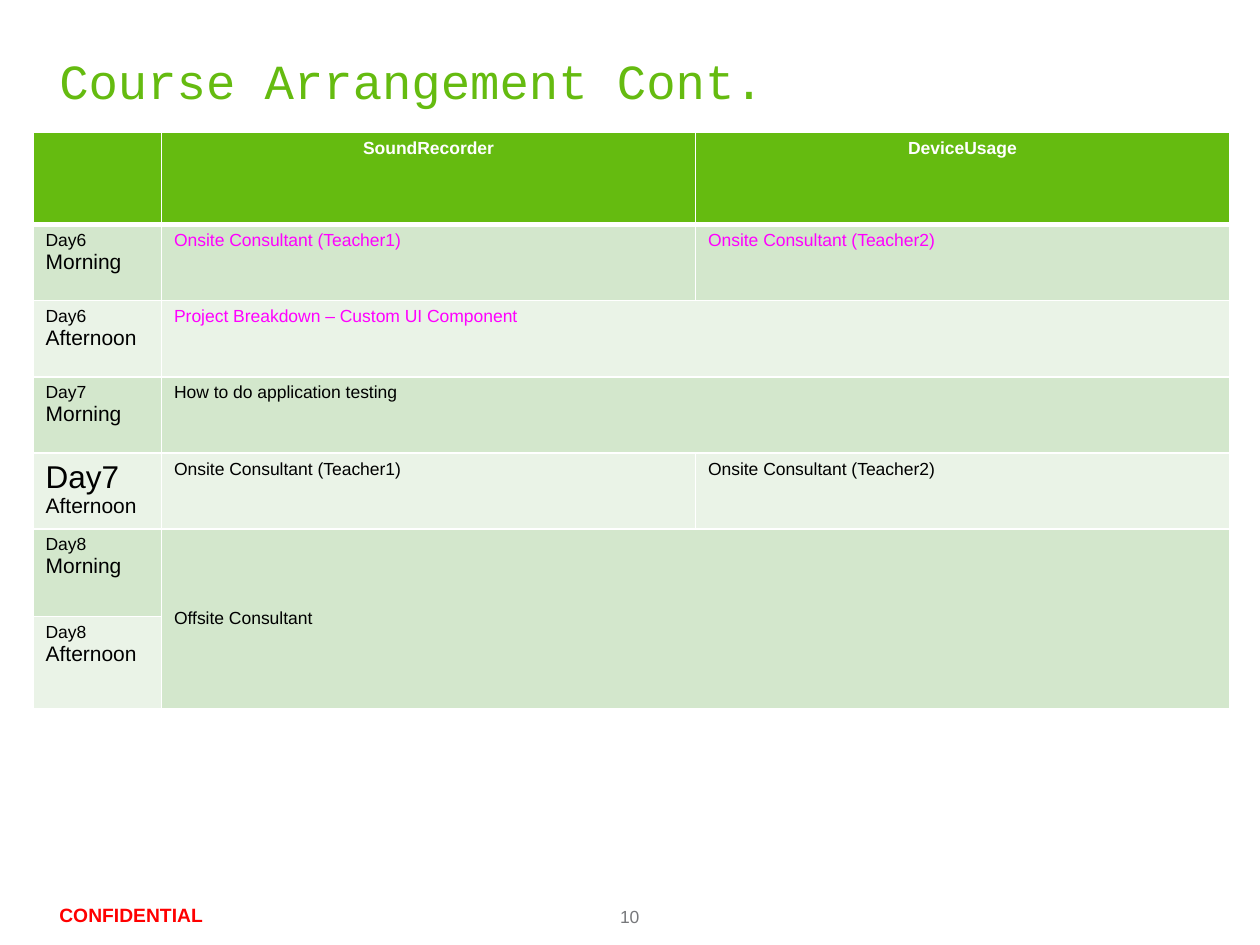
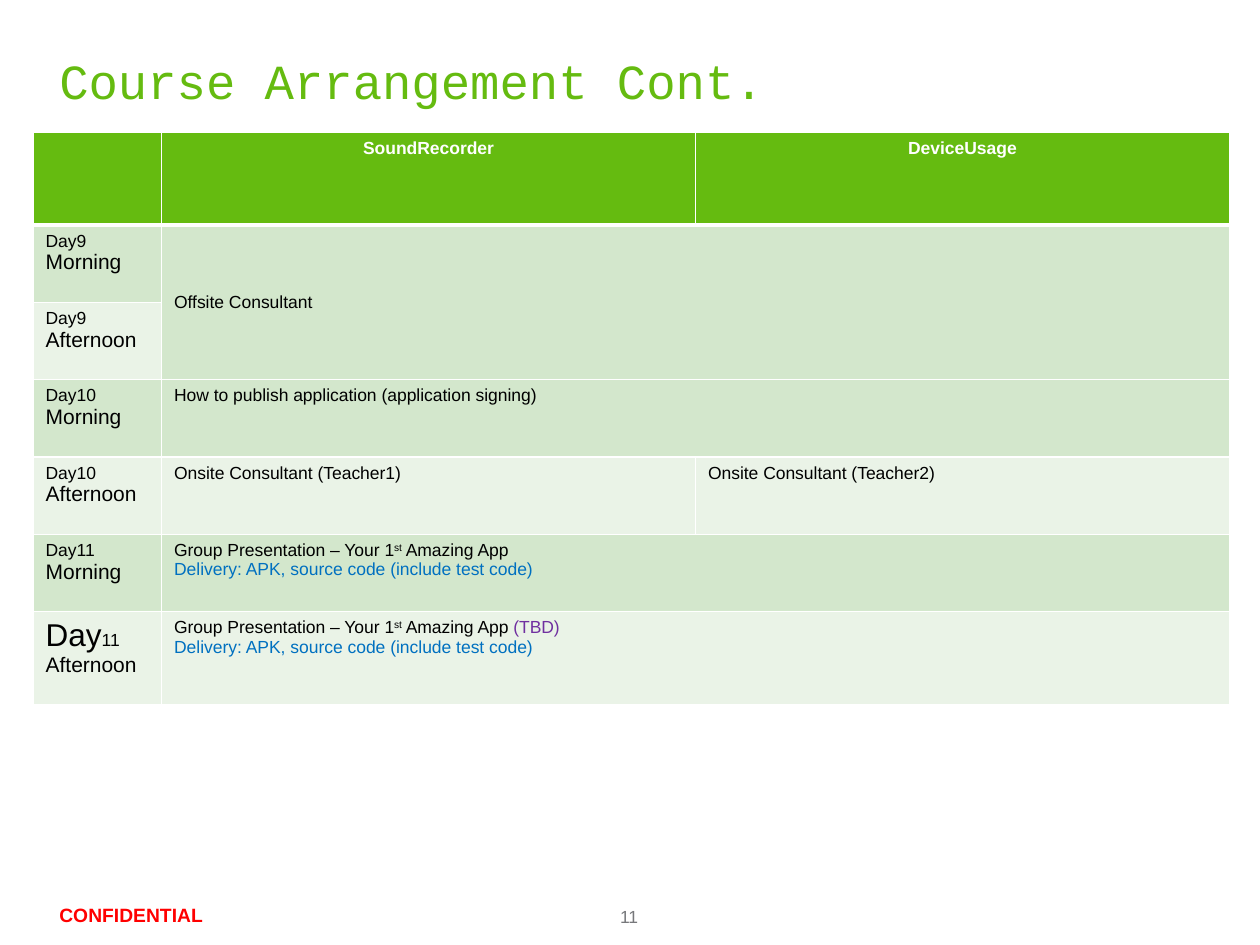
"""Build two course timetable slides with a shared title, footer and table style."""
from dataclasses import dataclass

from lxml import etree as et
from pptx import Presentation
from pptx.dml.color import RGBColor
from pptx.enum import text as tx
from pptx.oxml import ns
from pptx.util import Pt

HUES = {
    "green": "65BB10", "dark": "D3E7CC", "light": "EAF3E7",
    "white": "FFFFFF", "black": "000000", "grey": "77787B", "red": "FF0000",
    "pink": "FF00FF", "blue": "0070C0", "violet": "7030A0",
}
COLS = (73.4, 305.1, 305.1)


@dataclass(frozen=True)
class Bit:
    text: str
    hue: str = "black"
    size: float = 10
    bold: bool = False
    font: str = "Arial"
    sup: bool = False


@dataclass(frozen=True)
class Label:
    left: float
    top: float
    width: float
    height: float
    bit: Bit
    pitch: float | None = None
    anchor: tx.MSO_ANCHOR = tx.MSO_ANCHOR.TOP


Lines = list[list[Bit]]


@dataclass(frozen=True)
class Slot:
    lines: Lines
    rows: int = 1
    cols: int = 1


@dataclass(frozen=True)
class Row:
    height: float
    day: list[Bit]
    half: str
    slots: list[Slot]


@dataclass(frozen=True)
class Page:
    number: int
    head: float
    rows: list[Row]


def ink(hue: str) -> RGBColor:
    """Return the named colour."""
    return RGBColor.from_string(HUES[hue])


def write(para, bits: list[Bit]) -> None:
    """Add bits to a paragraph, one run each."""
    for bit in bits:
        run = para.add_run()
        run.text = bit.text
        font = run.font
        font.name, font.size, font.bold = bit.font, Pt(bit.size), bit.bold
        font.color.rgb = ink(bit.hue)
        if bit.sup:
            run._r.get_or_add_rPr().set("baseline", "30000")


def label(slide, spec: Label) -> None:
    """Draw a text box without margins."""
    box = slide.shapes.add_textbox(
        Pt(spec.left), Pt(spec.top), Pt(spec.width), Pt(spec.height))
    frame = box.text_frame
    frame.word_wrap = True
    frame.vertical_anchor = spec.anchor
    frame.margin_left = frame.margin_right = Pt(0)
    frame.margin_top = frame.margin_bottom = Pt(0)
    para = frame.paragraphs[0]
    if spec.pitch:
        para.line_spacing = Pt(spec.pitch)
    write(para, [spec.bit])


def style(cell, hue: str, top: float, base: float) -> None:
    """Give a cell its white borders and its fill."""
    props = cell._tc.get_or_add_tcPr()
    for side, width in (("L", 1), ("R", 1), ("T", top), ("B", base)):
        line = et.SubElement(props, ns.qn(f"a:ln{side}"), w=str(int(Pt(width))))
        fill = et.SubElement(line, ns.qn("a:solidFill"))
        et.SubElement(fill, ns.qn("a:srgbClr"), val=HUES["white"])
    cell.fill.solid()
    cell.fill.fore_color.rgb = ink(hue)


def put(cell, lines: Lines, align: tx.PP_ALIGN = tx.PP_ALIGN.LEFT) -> None:
    """Write paragraphs into a cell."""
    frame = cell.text_frame
    for i, bits in enumerate(lines):
        para = frame.add_paragraph() if i else frame.paragraphs[0]
        para.alignment = align
        write(para, bits)


def plan(slide, page: Page) -> None:
    """Draw the timetable."""
    sizes = [page.head] + [row.height for row in page.rows]
    grid = slide.shapes.add_table(
        len(sizes), len(COLS), Pt(18.9), Pt(75.6), Pt(sum(COLS)), Pt(sum(sizes))).table
    grid.first_row = grid.horz_banding = False
    for col, width in zip(grid.columns, COLS):
        col.width = Pt(width)
    for r, size in enumerate(sizes):
        grid.rows[r].height = Pt(size)
        hue = "green" if r == 0 else "dark" if r % 2 else "light"
        for cell in grid.rows[r].cells:
            style(cell, hue, 3 if r == 1 else 1, 3 if r == 0 else 1)
    for c, name in enumerate(("SoundRecorder", "DeviceUsage"), 1):
        put(grid.cell(0, c), [[Bit(name, "white", bold=True)]], tx.PP_ALIGN.CENTER)
    for r, row in enumerate(page.rows, 1):
        put(grid.cell(r, 0), [row.day, [Bit(row.half, size=12)]])
        for c, slot in enumerate(row.slots, 1):
            cell = grid.cell(r, c)
            if slot.rows * slot.cols > 1:
                cell.merge(grid.cell(r + slot.rows - 1, c + slot.cols - 1))
            if slot.rows > 1:
                cell.vertical_anchor = tx.MSO_ANCHOR.MIDDLE
            put(cell, slot.lines)


def pair(hue: str = "black") -> list[Slot]:
    """Return one onsite slot for each teacher."""
    return [Slot([[Bit(f"Onsite Consultant (Teacher{n})", hue)]]) for n in (1, 2)]


def wide(text: str, hue: str = "black", rows: int = 1) -> list[Slot]:
    """Return a slot across both project columns."""
    return [Slot([[Bit(text, hue)]], rows, 2)]


def show(*tail: Bit) -> list[Slot]:
    """Return a group presentation slot."""
    first = [Bit("Group Presentation – Your 1"), Bit("st", sup=True), *tail]
    last = [Bit("Delivery: APK, source code (include test code)", "blue")]
    return [Slot([first, last], cols=2)]


AM, PM = "Morning", "Afternoon"
OFF = wide("Offsite Consultant", rows=2)
PAGES = [
    Page(10, 52.6, [
        Row(43.6, [Bit("Day6")], AM, pair("pink")),
        Row(43.6, [Bit("Day6")], PM, wide("Project Breakdown – Custom UI Component", "pink")),
        Row(43.6, [Bit("Day7")], AM, wide("How to do application testing")),
        Row(42.6, [Bit("Day7", size=18)], PM, pair()),
        Row(50, [Bit("Day8")], AM, OFF),
        Row(52.6, [Bit("Day8")], PM, []),
    ]),
    Page(11, 53, [
        Row(44.2, [Bit("Day9")], AM, OFF),
        Row(44.2, [Bit("Day9")], PM, []),
        Row(44.2, [Bit("Day10")], AM, wide("How to publish application (application signing)")),
        Row(44.2, [Bit("Day10")], PM, pair()),
        Row(44.2, [Bit("Day11")], AM, show(Bit(" Amazing App"))),
        Row(53, [Bit("Day", size=18), Bit("11")], PM,
            show(Bit(" Amazing App "), Bit("(TBD)", "violet"))),
    ]),
]
TITLE = Label(33.9, 25.2, 652.3, 41, Bit("Course Arrangement Cont.", "green", 28, font="Courier New"),
              anchor=tx.MSO_ANCHOR.MIDDLE)
NOTICE = Label(33.9, 512.6, 104.4, 15.1, Bit("CONFIDENTIAL", "red", 11, True), 17)


def main() -> None:
    """Build and save the slides."""
    deck = Presentation()
    deck.slide_width, deck.slide_height = Pt(720), Pt(540)
    for page in PAGES:
        slide = deck.slides.add_slide(deck.slide_layouts[6])
        number = Label(354.3, 512.6, 85, 15.1, Bit(str(page.number), "grey"), 17)
        for spec in (number, NOTICE, TITLE):
            label(slide, spec)
        plan(slide, page)
    deck.save("out.pptx")


if __name__ == "__main__":
    main()
